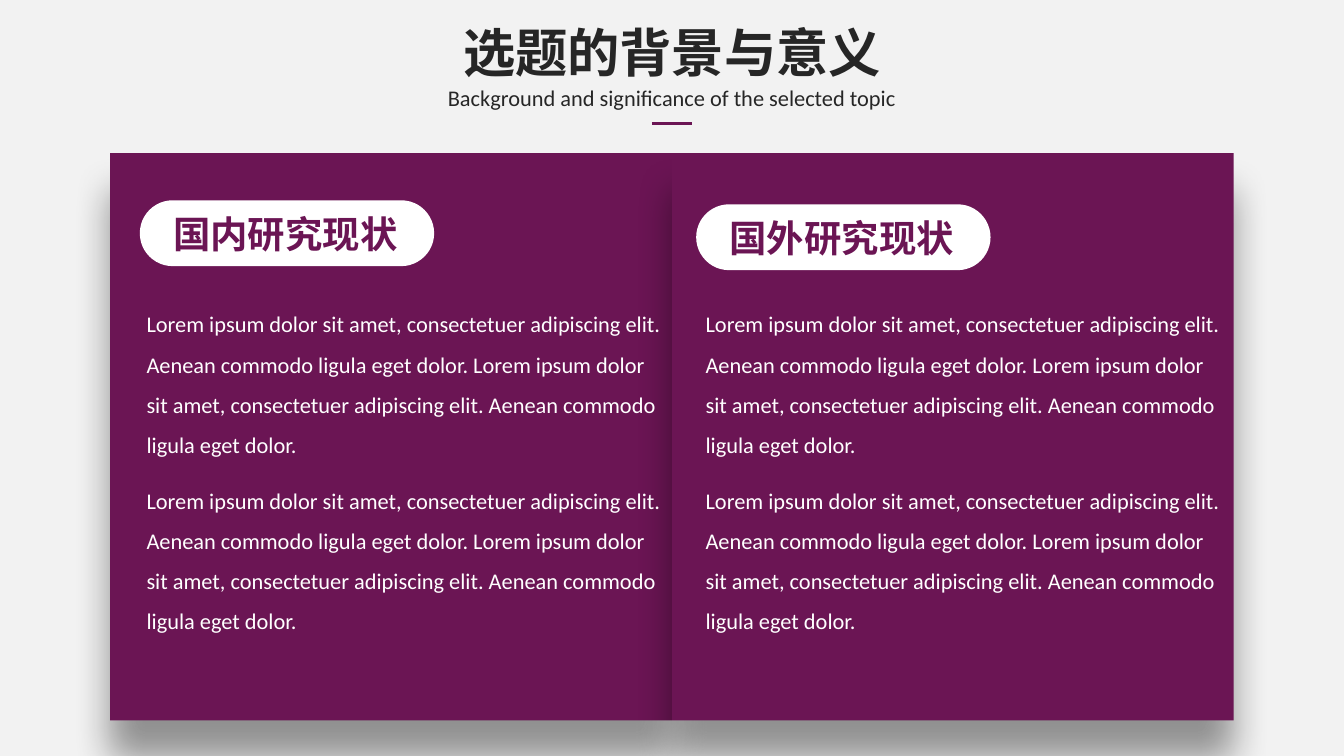
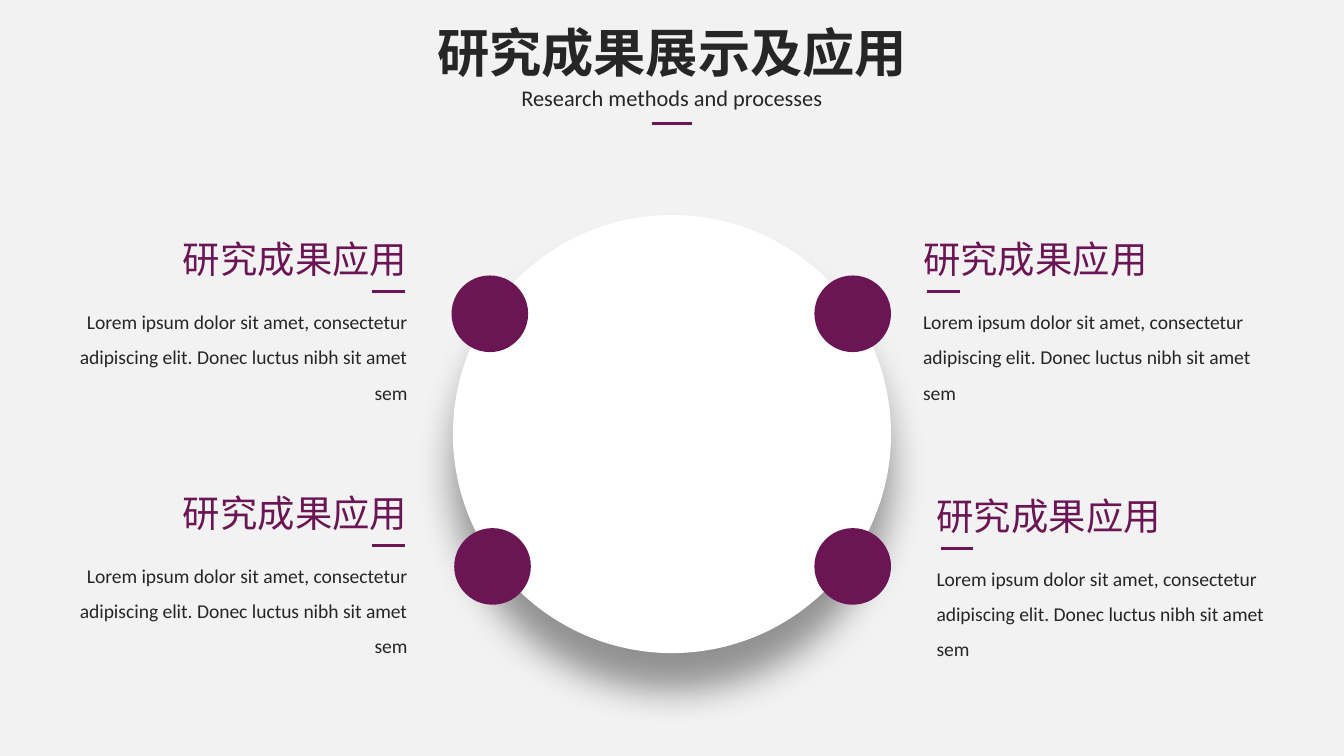
"""Build two slides on research background and research results."""
import lxml.etree
import pptx
import pptx.dml.color
import pptx.enum.shapes
import pptx.enum.text
import pptx.oxml.ns
import pptx.util

Inches = pptx.util.Inches
Pt = pptx.util.Pt
RGBColor = pptx.dml.color.RGBColor
SHAPE = pptx.enum.shapes.MSO_SHAPE
ALIGN = pptx.enum.text.PP_ALIGN
qn = pptx.oxml.ns.qn

PLUM = RGBColor(0x6B, 0x15, 0x54)
INK = RGBColor(0x26, 0x26, 0x26)
WHITE = RGBColor(0xFF, 0xFF, 0xFF)
PAPER = RGBColor(0xF2, 0xF2, 0xF2)
LATIN = "Calibri"
CHINESE = "Noto Sans CJK SC"
SLIDE_WIDTH = 10

BACKGROUND = {
    "title": "选题的背景与意义", "title_width": 3.34,
    "subtitle": "Background and significance of the selected topic",
    "subtitle_width": 3.54,
}
STATUS_TEXT = (
    "Lorem ipsum dolor sit amet, consectetuer adipiscing elit. "
    "Aenean commodo ligula eget dolor. Lorem ipsum dolor sit amet, "
    "consectetuer adipiscing elit. Aenean commodo ligula eget dolor."
)
STATUSES = [
    {"heading": "国内研究现状", "pill": (1.04, 1.49), "body_left": 0.99},
    {"heading": "国外研究现状", "pill": (5.18, 1.52), "body_left": 5.15},
]
RESULTS = {
    "title": "研究成果展示及应用", "title_width": 3.74,
    "subtitle": "Research methods and processes", "subtitle_width": 2.44,
}
RESULT_HEADING = "研究成果应用"
RESULT_TEXT = (
    "Lorem ipsum dolor sit amet, consectetur adipiscing elit. "
    "Donec luctus nibh sit amet sem"
)
APPLICATIONS = [
    {"side": "left", "text": (0.3, 2.17), "dot": (3.36, 2.05)},
    {"side": "left", "text": (0.3, 4.06), "dot": (3.38, 3.93)},
    {"side": "right", "text": (6.77, 2.17), "dot": (6.06, 2.05)},
    {"side": "right", "text": (6.87, 4.08), "dot": (6.06, 3.93)},
]
SIDES = {
    "left": {"align": ALIGN.RIGHT, "heading_shift": 0.95, "rule_shift": 2.47},
    "right": {"align": ALIGN.LEFT, "heading_shift": 0, "rule_shift": 0.13},
}


def write(slide, box, *paragraphs, size, holder=None, font=LATIN, color=INK,
          bold=False, align=ALIGN.LEFT, spacing=1, gap=0, wrap=False):
    """Write paragraphs in a placeholder or a new text box."""
    lengths = [Inches(length) for length in box]
    if holder is None:
        holder = slide.shapes.add_textbox(*lengths)
    else:
        holder.left, holder.top, holder.width, holder.height = lengths
        holder.element.getparent().append(holder.element)
    frame = holder.text_frame
    frame.word_wrap = wrap
    frame.auto_size = pptx.enum.text.MSO_AUTO_SIZE.SHAPE_TO_FIT_TEXT
    frame.vertical_anchor = pptx.enum.text.MSO_ANCHOR.TOP
    for index, text in enumerate(paragraphs):
        paragraph = frame.add_paragraph() if index else frame.paragraphs[0]
        properties = paragraph._p.get_or_add_pPr()
        properties.set("marL", "0")
        properties.set("indent", "0")
        lxml.etree.SubElement(properties, qn("a:buNone"))
        paragraph.alignment = align
        paragraph.line_spacing = spacing
        paragraph.space_before = Pt(gap if index else 0)
        run = paragraph.add_run()
        run.text = text
        run.font.size, run.font.bold, run.font.name = Pt(size), bold, font
        run.font.color.rgb = color
        east_asian = lxml.etree.SubElement(run._r.rPr, qn("a:ea"))
        east_asian.set("typeface", font)


def draw(slide, kind, box, color, shadow=False):
    """Draw a borderless shape, with a soft shadow below if asked."""
    shape = slide.shapes.add_shape(kind, *[Inches(length) for length in box])
    shape.fill.solid()
    shape.fill.fore_color.rgb = color
    shape.line.fill.background()
    shape.shadow.inherit = False
    if shadow:
        effects = shape.element.spPr.find(qn("a:effectLst"))
        outer = lxml.etree.SubElement(
            effects, qn("a:outerShdw"), blurRad=str(Pt(20)), dist=str(Pt(20)),
            dir="5400000", algn="t", rotWithShape="0")
        black = lxml.etree.SubElement(outer, qn("a:srgbClr"), val="000000")
        lxml.etree.SubElement(black, qn("a:alpha"), val="40000")
    return shape


def rule(slide, left, top, width):
    """Draw a short plum line."""
    line = slide.shapes.add_connector(
        pptx.enum.shapes.MSO_CONNECTOR.STRAIGHT, Inches(left), Inches(top),
        Inches(left + width), Inches(top))
    line.line.color.rgb = PLUM
    line.line.width = Pt(1.5)
    lxml.etree.SubElement(line.element.spPr, qn("a:effectLst"))


def start_slide(deck, layout, header):
    """Add a slide with its title, subtitle and rule centred on top."""
    slide = deck.slides.add_slide(deck.slide_layouts.get_by_name(layout))
    middle = SLIDE_WIDTH / 2
    width = header["title_width"]
    write(slide, (middle - width / 2, 0.1, width, 0.57), header["title"],
          size=28, holder=slide.shapes.title, font=CHINESE, bold=True,
          align=ALIGN.CENTER)
    width = header["subtitle_width"]
    write(slide, (middle - width / 2, 0.58, width, 0.3), header["subtitle"],
          size=12, align=ALIGN.CENTER)
    rule(slide, middle - 0.15, 0.92, 0.3)
    return slide


def build_background(deck):
    """Show the two research statuses side by side."""
    slide = start_slide(deck, "Two Content", BACKGROUND)
    panel_width = 4.18
    for column in range(len(STATUSES)):
        left = 0.82 + column * panel_width
        draw(slide, SHAPE.RECTANGLE, (left, 1.14, panel_width, 4.22), PLUM,
             shadow=True)
    for column, status in enumerate(STATUSES, start=1):
        left, top = status["pill"]
        pill = draw(slide, SHAPE.ROUNDED_RECTANGLE, (left, top, 2.19, 0.49),
                    WHITE)
        pill.adjustments[0] = 0.5
        write(slide, (left + 0.15, top + 0.03, 1.88, 0.44), status["heading"],
              size=20, font=CHINESE, color=PLUM, bold=True)
        body = next(holder for holder in slide.placeholders
                    if holder.placeholder_format.idx == column)
        write(slide, (status["body_left"], 2.16, 4.09, 2.62), STATUS_TEXT,
              STATUS_TEXT, size=12, holder=body, color=WHITE, spacing=1.5,
              gap=8, wrap=True)


def build_results(deck):
    """Show four applications around a disc."""
    slide = start_slide(deck, "Title Only", RESULTS)
    draw(slide, SHAPE.OVAL, (3.37, 1.6, 3.26, 3.26), WHITE, shadow=True)
    for application in APPLICATIONS:
        side = SIDES[application["side"]]
        left, top = application["text"]
        draw(slide, SHAPE.OVAL, (*application["dot"], 0.57, 0.57), PLUM)
        write(slide, (left, top, 2.83, 0.9), RESULT_TEXT, size=10.5,
              align=side["align"], spacing=1.5, wrap=True)
        write(slide, (left + side["heading_shift"], top - 0.46, 1.88, 0.44),
              RESULT_HEADING, size=20, font=CHINESE, color=PLUM,
              align=side["align"])
        rule(slide, left + side["rule_shift"], top, 0.24)


def main():
    """Build and save the deck."""
    deck = pptx.Presentation()
    deck.slide_width = Inches(SLIDE_WIDTH)
    deck.slide_height = Inches(SLIDE_WIDTH * 9 / 16)
    backdrop = deck.slide_master.background.fill
    backdrop.solid()
    backdrop.fore_color.rgb = PAPER
    build_background(deck)
    build_results(deck)
    deck.save("out.pptx")


if __name__ == "__main__":
    main()
